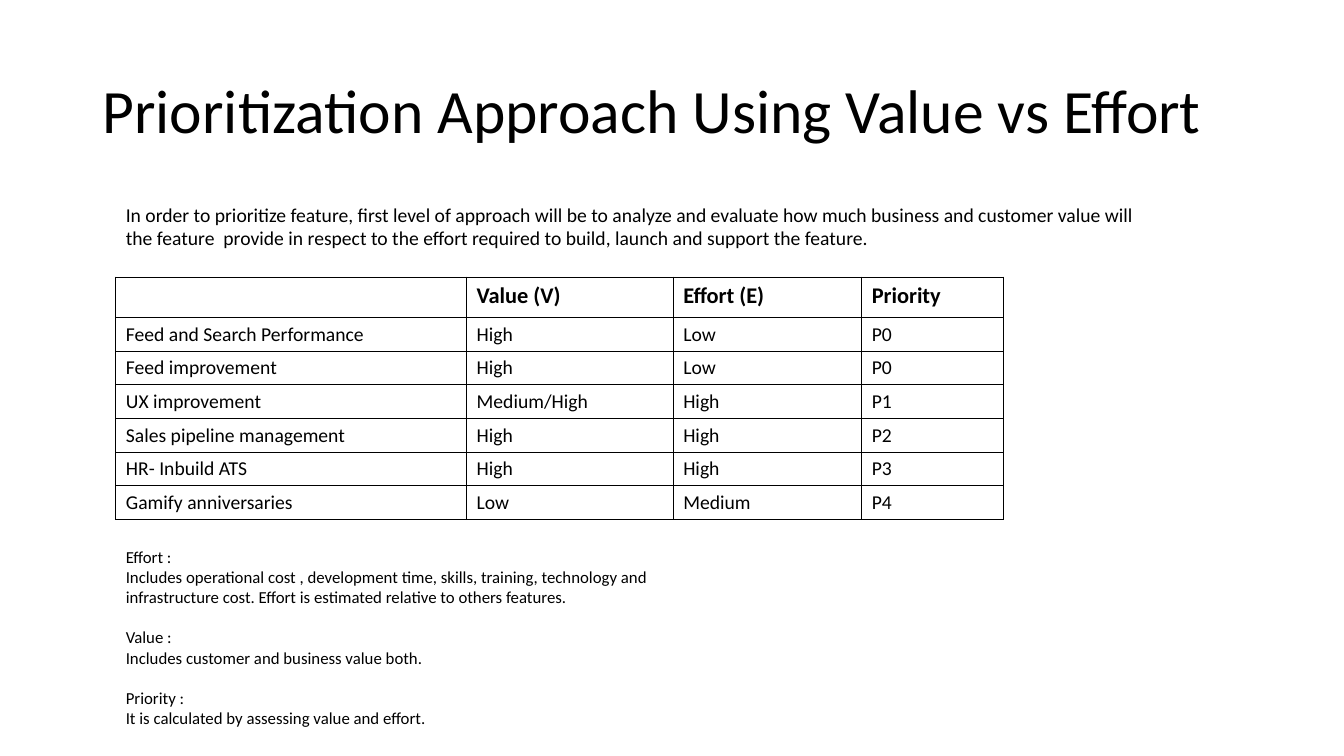
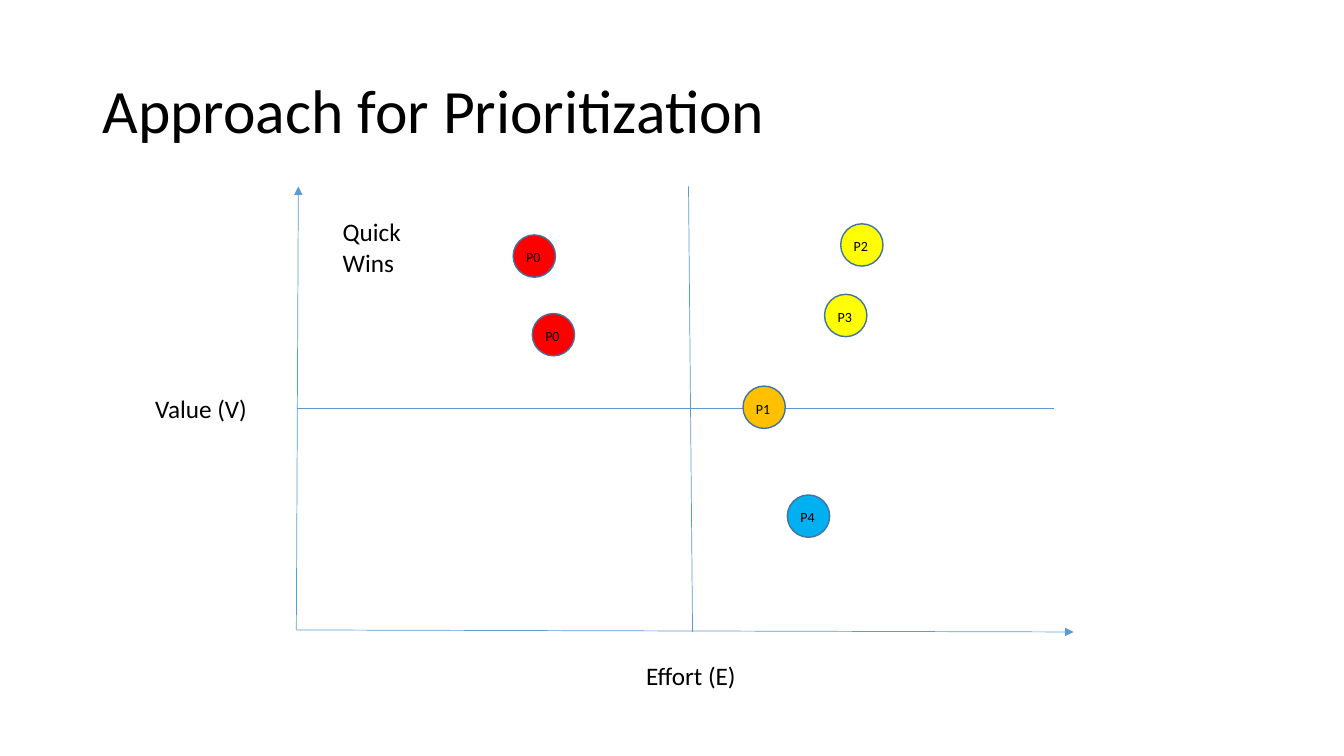
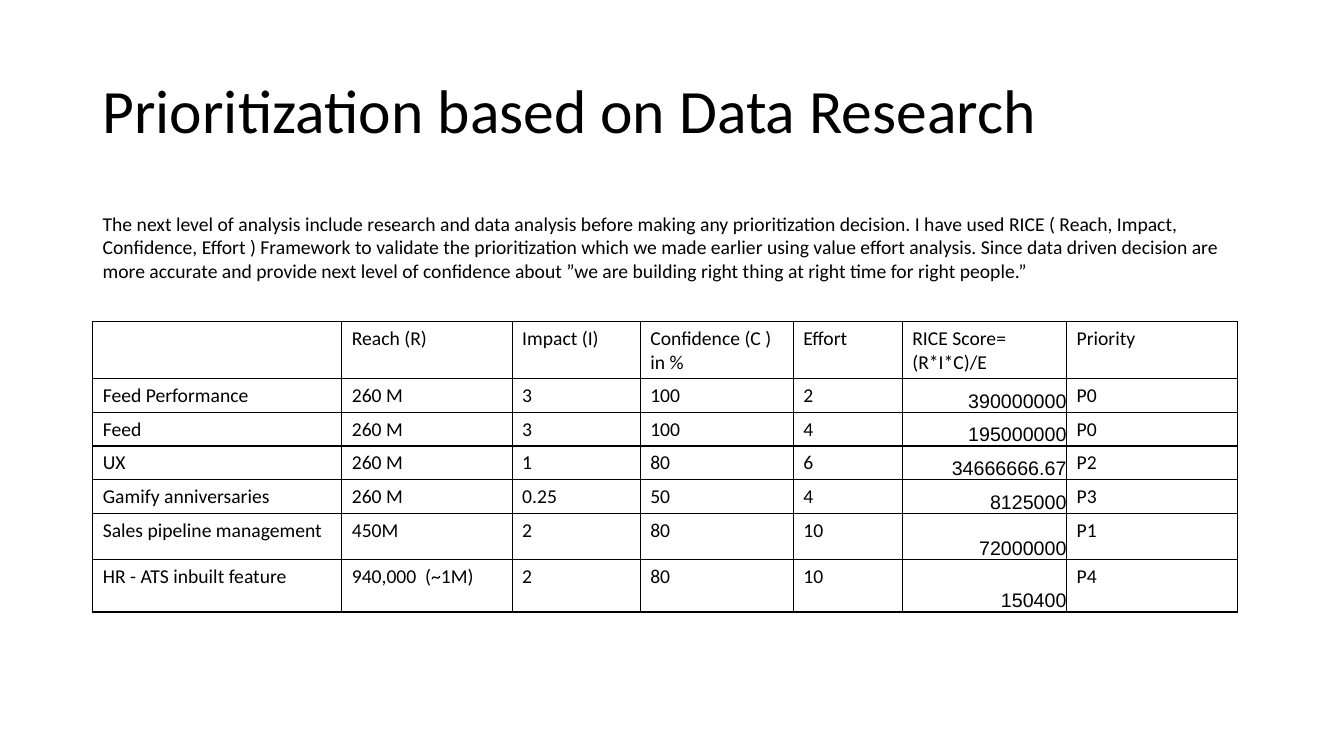
import lxml.etree
import pptx
import pptx.dml.color
import pptx.enum.shapes
import pptx.enum.text
import pptx.oxml
import pptx.oxml.ns
import pptx.util

presentation = pptx.Presentation()
presentation.slide_width = pptx.util.Inches(13.33)
presentation.slide_height = pptx.util.Inches(7.5)

# Shared style: one column or row is a hundredth of the slide
column = presentation.slide_width / 100
row = presentation.slide_height / 100
colour = pptx.dml.color.RGBColor.from_string
qualified = pptx.oxml.ns.qn
BLACK, AXIS_BLUE, OUTLINE_BLUE = "000000", "5B9BD5", "43739E"
RED, YELLOW, ORANGE, SKY_BLUE = "FF0000", "FFFF00", "FFC000", "00B0F0"
TITLE_LEFT, TITLE_WIDTH = 6.9, 86.25
TABLE_LEFT = 8.62


def write(paragraph, text, size, font="Calibri", bold=False):
    run = paragraph.add_run()
    run.text = text
    run.font.size = pptx.util.Pt(size)
    run.font.name = font
    run.font.bold = bold
    run.font.color.rgb = colour(BLACK)


def add_box(slide, left, top, width, height, text, size):
    shape = slide.shapes.add_textbox(
        int(left * column), int(top * row), int(width * column), int(height * row))
    shape.text_frame.word_wrap = True
    write(shape.text_frame.paragraphs[0], text, size)
    return shape.text_frame


# Slides and titles
slides = []
for title in ("Prioritization Approach Using Value vs Effort",
              "Approach for Prioritization",
              "Prioritization based on Data Research"):
    slide = presentation.slides.add_slide(presentation.slide_layouts[6])
    frame = add_box(slide, TITLE_LEFT, 5.3, TITLE_WIDTH, 19.33, title, 44)
    frame.vertical_anchor = pptx.enum.text.MSO_ANCHOR.MIDDLE
    frame.paragraphs[0].line_spacing = 0.9
    slides.append(slide)
value_slide, matrix_slide, research_slide = slides

# Introductions
add_box(value_slide, TABLE_LEFT, 26.13, 78.45, 7.6,
        "In order to prioritize feature, first level of approach will be to analyze and "
        "evaluate how much business and customer value will the feature  provide in respect "
        "to the effort required to build, launch and support the feature.", 14)
add_box(research_slide, TITLE_LEFT, 27.33, TITLE_WIDTH, 10.8,
        "The next level of analysis include research and data analysis before making any "
        "prioritization decision. I have used RICE ( Reach, Impact, Confidence, Effort ) "
        "Framework to validate the prioritization which we made earlier using value effort "
        "analysis. Since data driven decision are more accurate and provide next level of "
        "confidence about ”we are building right thing at right time for right people.”", 14)

# Tables
value_rows = [
    ["", "Value (V)", "Effort (E)", "Priority"],
    ["Feed and Search Performance", "High", "Low", "P0"],
    ["Feed improvement", "High", "Low", "P0"],
    ["UX improvement", "Medium/High", "High", "P1"],
    ["Sales pipeline management", "High", "High", "P2"],
    ["HR- Inbuild ATS", "High", "High", "P3"],
    ["Gamify anniversaries", "Low", "Medium", "P4"],
]
research_rows = [
    ["", "Reach (R)", "Impact (I)", "Confidence (C ) in %", "Effort",
     "RICE Score= (R*I*C)/E", "Priority"],
    ["Feed Performance", "260 M", "3", "100", "2", "390000000", "P0"],
    ["Feed", "260 M", "3", "100", "4", "195000000", "P0"],
    ["UX", "260 M", "1", "80", "6", "34666666.67", "P2"],
    ["Gamify anniversaries", "260 M", "0.25", "50", "4", "8125000", "P3"],
    ["Sales pipeline management", "450M", "2", "80", "10", "72000000", "P1"],
    ["HR - ATS inbuilt feature", "940,000  (~1M)", "2", "80", "10", "150400", "P4"],
]
SCORE_COLUMN = 5
tables = [
    (value_slide, TABLE_LEFT, 36.67, [26.1, 15.37, 14.03, 10.57],
     [5.2] + [4.4] * 6, value_rows, 16, True),
    (research_slide, TITLE_LEFT, 42.53, [18.53, 12.68, 9.53, 11.4, 8.1, 12.23, 12.75],
     [6.93] + [4.4] * 4 + [6.13, 6.93], research_rows, 14, False),
]
for slide, left, top, widths, heights, texts, header_size, header_bold in tables:
    table = slide.shapes.add_table(
        len(heights), len(widths), int(left * column), int(top * row),
        int(sum(widths) * column), int(sum(heights) * row)).table
    table.first_row = False
    table.horz_banding = False
    for table_column, width in zip(table.columns, widths):
        table_column.width = int(width * column)
    for table_row, height in zip(table.rows, heights):
        table_row.height = int(height * row)
    for row_index, row_texts in enumerate(texts):
        for column_index, text in enumerate(row_texts):
            cell = table.cell(row_index, column_index)
            paragraph = cell.text_frame.paragraphs[0]
            is_header = row_index == 0
            is_score = column_index == SCORE_COLUMN and not is_header
            if is_score:
                cell.vertical_anchor = pptx.enum.text.MSO_ANCHOR.BOTTOM
                cell.margin_left = cell.margin_right = 0
                cell.margin_top = cell.margin_bottom = 0
                paragraph.alignment = pptx.enum.text.PP_ALIGN.RIGHT
            if text:
                write(paragraph, text, header_size if is_header else 14,
                      "Arial" if is_score else "Calibri", is_header and header_bold)
            # Borders go before the fill in the cell properties
            properties = cell._tc.get_or_add_tcPr()
            for side in ("a:lnL", "a:lnR", "a:lnT", "a:lnB"):
                border = lxml.etree.SubElement(
                    properties, qualified(side), w=str(pptx.util.Pt(1)))
                border_fill = lxml.etree.SubElement(border, qualified("a:solidFill"))
                lxml.etree.SubElement(border_fill, qualified("a:srgbClr"), val=BLACK)
            cell.fill.background()

# Definitions under the value table
definitions = [
    ("Effort :", "Includes operational cost , development time, skills, training, technology "
                 "and infrastructure cost. Effort is estimated relative to others features."),
    ("Value :", "Includes customer and business value both."),
    ("Priority :", "It is calculated by assessing value and effort."),
]
frame = add_box(value_slide, TABLE_LEFT, 71.6, 42.23, 25.6, definitions[0][0], 12)
write(frame.add_paragraph(), definitions[0][1], 12)
for term, meaning in definitions[1:]:
    paragraph = frame.add_paragraph()
    paragraph.space_before = pptx.util.Pt(14.6)
    write(paragraph, term, 12)
    write(frame.add_paragraph(), meaning, 12)

# Matrix axes and dividers
matrix_lines = [
    (22.05, 83.33, 79.88, 83.6, True),
    (22.05, 83.33, 22.2, 24.67, True),
    (22.13, 54, 78.45, 54, False),
    (51.53, 83.6, 51.23, 24.67, False),
]
for start_x, start_y, end_x, end_y, has_arrow in matrix_lines:
    connector = matrix_slide.shapes.add_connector(
        pptx.enum.shapes.MSO_CONNECTOR.STRAIGHT, int(start_x * column), int(start_y * row),
        int(end_x * column), int(end_y * row))
    connector.line.color.rgb = colour(AXIS_BLUE)
    connector.line.width = pptx.util.Pt(0.5)
    if has_arrow:
        lxml.etree.SubElement(
            connector.line._get_or_add_ln(), qualified("a:tailEnd"), type="triangle")
    lxml.etree.SubElement(connector._element.spPr, qualified("a:effectLst"))

# Matrix captions, each with its left inset in columns
captions = [
    ("Value (V)", 8.33, 51.33, 13.28, 5.33, 3.22),
    ("Effort (E)", 39.75, 86.67, 28.05, 5.6, 8.33),
    ("Quick Wins", 24.75, 28, 7.58, 9.47, 0.75),
]
for text, left, top, width, height, inset in captions:
    frame = add_box(matrix_slide, left, top, width, height, text, 18)
    frame.margin_left = int(inset * column)

# Feature markers
markers = [
    ("P0", 39.6, 41.47, RED),
    ("P2", 62.55, 29.6, YELLOW),
    ("P3", 61.35, 38.93, YELLOW),
    ("P4", 58.58, 65.47, SKY_BLUE),
    ("P1", 55.28, 51.07, ORANGE),
    ("P0", 38.18, 31.07, RED),
]
diameter = int(3.15 * column)
for priority, left, top, fill in markers:
    marker = matrix_slide.shapes.add_shape(
        pptx.enum.shapes.MSO_SHAPE.OVAL, int(left * column), int(top * row),
        diameter, diameter)
    marker.shadow.inherit = False
    marker.fill.solid()
    marker.fill.fore_color.rgb = colour(fill)
    marker.line.color.rgb = colour(OUTLINE_BLUE)
    marker.line.width = pptx.util.Pt(1)
    add_box(matrix_slide, left + 0.23, top + 1.2, 2.85, 3.6, priority, 10)

presentation.save("out.pptx")
